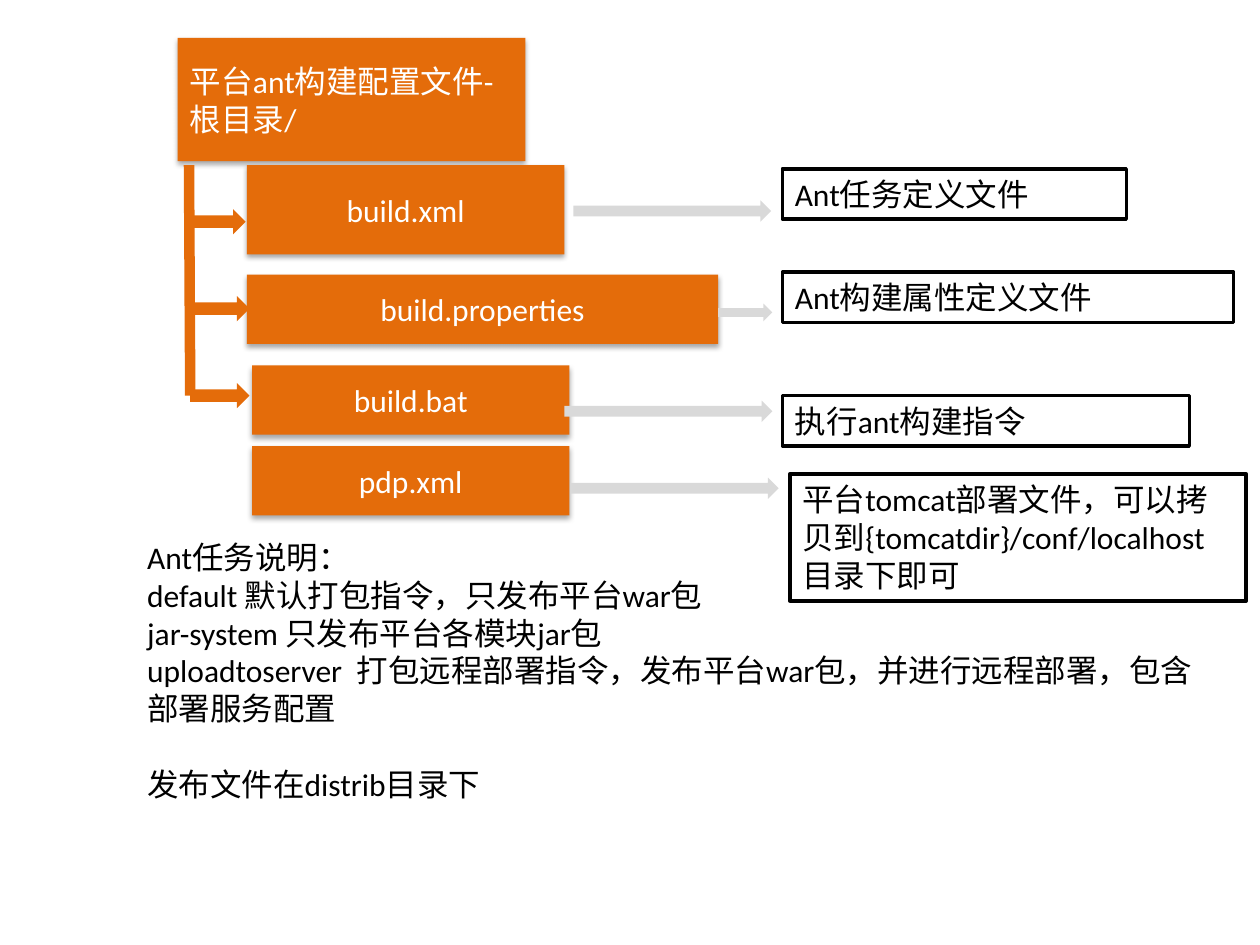
from lxml.etree import SubElement
from pptx import Presentation
from pptx.dml.color import RGBColor
from pptx.enum.shapes import MSO_CONNECTOR, MSO_SHAPE as SHAPE
from pptx.enum.text import MSO_ANCHOR as ANCHOR, MSO_AUTO_SIZE as AUTO, PP_ALIGN as ALIGN
from pptx.oxml import parse_xml
from pptx.oxml.ns import nsdecls, qn
from pptx.util import Inches, Pt

COLORS = {"orange": "E46C0A", "grey": "D9D9D9", "white": "FFFFFF", "black": "000000"}
SHADOW = (
    f'<a:effectLst {nsdecls("a")}>'
    '<a:outerShdw blurRad="39370" dist="22860" dir="5400000" rotWithShape="0">'
    '<a:srgbClr val="000000"><a:alpha val="35000"/></a:srgbClr>'
    '</a:outerShdw></a:effectLst>'
)

prs = Presentation()
prs.slide_width, prs.slide_height = Inches(10), Inches(7.5)
slide = prs.slides.add_slide(prs.slide_layouts[6])


def add_block(preset, at, fill, outline=None):
    block = slide.shapes.add_shape(preset, *map(Inches, at))
    block.shadow.inherit = False
    block.fill.solid()
    block.fill.fore_color.rgb = RGBColor.from_string(COLORS[fill])
    if outline:
        block.line.color.rgb = RGBColor.from_string(COLORS[outline])
        block.line.width = Pt(2)
    else:
        block.line.fill.background()
    return block


def write(holder, *lines, color="black", align=ALIGN.LEFT, anchor=ANCHOR.TOP, grow=True):
    frame = holder.text_frame
    frame.word_wrap = True
    frame.vertical_anchor = anchor
    frame.auto_size = AUTO.SHAPE_TO_FIT_TEXT if grow else AUTO.NONE
    frame.text = "\n".join(lines)
    for paragraph in frame.paragraphs:
        paragraph.alignment = align
        paragraph.font.size = Pt(18)
        paragraph.font.name = "Calibri"
        paragraph.font.color.rgb = RGBColor.from_string(COLORS[color])
    return frame


# Root folder and its build files
for text, at, align in [
    ("平台ant构建配置文件-根目录/", (1.41, 0.3, 2.76, 0.98), ALIGN.LEFT),
    ("build.xml", (1.96, 1.31, 2.52, 0.71), ALIGN.CENTER),
    ("build.properties", (1.96, 2.18, 3.74, 0.55), ALIGN.CENTER),
    ("build.bat", (2, 2.9, 2.52, 0.55), ALIGN.CENTER),
    ("pdp.xml", (2, 3.54, 2.52, 0.55), ALIGN.CENTER),
]:
    file_box = add_block(SHAPE.RECTANGLE, at, "orange")
    properties = file_box._element.spPr
    properties.replace(properties.find(qn("a:effectLst")), parse_xml(SHADOW))
    write(file_box, text, color="white", align=align, anchor=ANCHOR.MIDDLE, grow=False)

# Tree trunk with one branch arrow per file
trunk = slide.shapes.add_connector(
    MSO_CONNECTOR.STRAIGHT, Inches(1.5), Inches(1.31), Inches(1.51), Inches(3.14))
trunk.line.color.rgb = RGBColor.from_string(COLORS["orange"])
trunk.line.width = Pt(6)
SubElement(trunk._element.spPr, qn("a:effectLst"))
for row, left in enumerate((1.48, 1.51, 1.51)):
    add_block(SHAPE.RIGHT_ARROW, (left, 1.66 + 0.69 * row, 0.47, 0.2), "orange")

# Descriptions, each with the arrow leading to it
for text, note_at, arrow_at in [
    ("Ant任务定义文件", (6.21, 1.34, 2.73, 0.4), (4.55, 1.59, 1.57, 0.17)),
    ("Ant构建属性定义文件", (6.21, 2.16, 3.58, 0.4), (5.7, 2.41, 0.43, 0.14)),
    ("执行ant构建指令", (6.21, 3.14, 3.23, 0.4), (4.48, 3.18, 1.65, 0.17)),
    ("平台tomcat部署文件，可以拷贝到{tomcatdir}/conf/localhost目录下即可",
     (6.27, 3.76, 3.62, 1.01), (4.53, 3.79, 1.65, 0.17)),
]:
    write(add_block(SHAPE.RECTANGLE, note_at, "white", outline="black"), text)
    add_block(SHAPE.RIGHT_ARROW, arrow_at, "grey")

# Task explanations
tasks = slide.shapes.add_textbox(Inches(1.07), Inches(4.22), Inches(8.53), Inches(2.52))
explanation = write(
    tasks,
    "Ant任务说明：",
    "default 默认打包指令，只发布平台war包",
    "jar-system 只发布平台各模块jar包",
    "uploadtoserver  打包远程部署指令，发布平台war包，并进行远程部署，包含部署服务配置",
    "发布文件在distrib目录下",
)
explanation.paragraphs[-1].space_before = Pt(21.6)

prs.save("out.pptx")
